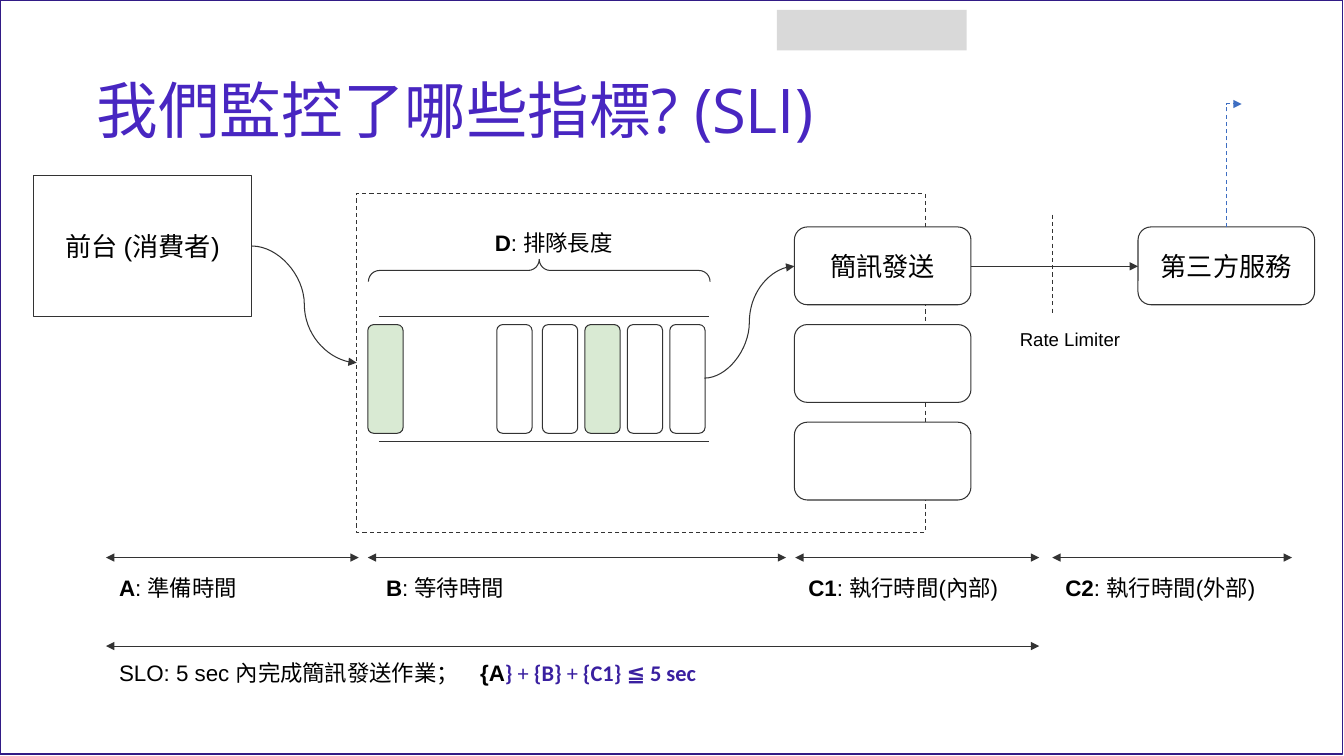
from dataclasses import dataclass

from lxml.etree import SubElement
from pptx import Presentation
from pptx.dml.color import RGBColor
from pptx.enum.dml import MSO_LINE
from pptx.enum.shapes import MSO_CONNECTOR, MSO_SHAPE
from pptx.enum.text import MSO_ANCHOR, PP_ALIGN
from pptx.oxml.ns import qn
from pptx.util import Cm, Pt


@dataclass(frozen=True)
class Theme:
    ink: str = "333333"
    text: str = "000000"
    white: str = "FFFFFF"
    green: str = "D9EAD3"
    gray: str = "D9D9D9"
    title: str = "4826C1"
    formula: str = "3A20A0"
    frame: str = "321B86"
    callback: str = "3E6EC2"
    title_font: str = "Open Sans"
    body_font: str = "Arial"
    formula_font: str = "Calibri"
    title_size: float = 44
    box_size: float = 18.7
    label_size: float = 16
    small_size: float = 13.3
    line_width: float = 0.75


class Diagram:
    def __init__(self, slide, theme):
        self.slide = slide
        self.theme = theme

    def stroke(self, line, color=None, width=None, dash=False):
        line.color.rgb = RGBColor.from_string(color or self.theme.ink)
        line.width = Pt(width or self.theme.line_width)
        if dash:
            line.dash_style = MSO_LINE.DASH

    def frame_text(self, tf, inset=0.33, anchor=MSO_ANCHOR.TOP):
        tf.word_wrap = True
        tf.margin_left = tf.margin_right = Cm(inset)
        tf.margin_top = tf.margin_bottom = Cm(inset)
        tf.vertical_anchor = anchor
        return tf.paragraphs[0]

    def run(self, p, text, size=None, bold=False, color=None, font=None):
        r = p.add_run()
        r.text = text
        r.font.size = Pt(size or self.theme.label_size)
        r.font.bold = bold
        r.font.name = font or self.theme.body_font
        r.font.color.rgb = RGBColor.from_string(color or self.theme.text)

    def shape(self, kind, x, y, w, h, fill=None, line=True, **stroke):
        sp = self.slide.shapes.add_shape(kind, Cm(x), Cm(y), Cm(w), Cm(h))
        sp.shadow.inherit = False
        if fill:
            sp.fill.solid()
            sp.fill.fore_color.rgb = RGBColor.from_string(fill)
        else:
            sp.fill.background()
        if line:
            self.stroke(sp.line, **stroke)
        else:
            sp.line.fill.background()
        return sp

    def box(self, x, y, w, h, text="", kind=MSO_SHAPE.ROUNDED_RECTANGLE, fill=None):
        sp = self.shape(kind, x, y, w, h, fill or self.theme.white)
        if text:
            p = self.frame_text(sp.text_frame, anchor=MSO_ANCHOR.MIDDLE)
            p.alignment = PP_ALIGN.CENTER
            self.run(p, text, self.theme.box_size)

    def textbox(self, x, y, w, h=1.68, **frame):
        tb = self.slide.shapes.add_textbox(Cm(x), Cm(y), Cm(w), Cm(h))
        return self.frame_text(tb.text_frame, **frame)

    def label(self, x, y, w, key, text):
        p = self.textbox(x, y, w)
        self.run(p, key, bold=True)
        self.run(p, f": {text}")

    def connector(self, x1, y1, x2, y2, kind=MSO_CONNECTOR.STRAIGHT,
                  head=False, tail=False, **stroke):
        cx = self.slide.shapes.add_connector(kind, Cm(x1), Cm(y1), Cm(x2), Cm(y2))
        self.stroke(cx.line, **stroke)
        ln = cx.line._get_or_add_ln()
        for tag, wanted in (("a:headEnd", head), ("a:tailEnd", tail)):
            if wanted:
                SubElement(ln, qn(tag), type="triangle")
        SubElement(cx._element.spPr, qn("a:effectLst"))
        return cx

    def corner_up_right(self, x, y, rise, run, **stroke):
        """Arrow going up from (x, y), then turning right."""
        left, top = x + run / 2 - rise / 2, y - rise / 2 - run / 2
        cx = self.connector(left, top, left + rise, top + run,
                            MSO_CONNECTOR.ELBOW, tail=True, **stroke)
        sp_pr = cx._element.spPr
        sp_pr.find(qn("a:xfrm")).set("rot", str(270 * 60000))
        sp_pr.find(qn("a:prstGeom")).set("prst", "bentConnector2")


def draw_queue(d):
    th = d.theme
    d.shape(MSO_SHAPE.RECTANGLE, 8.99, 4.88, 14.33, 8.53, th.white, dash=True)
    for y in (7.98, 11.13):
        d.connector(9.55, y, 17.88, y)
    waiting = [13.67 + 1.07 * i for i in range(4)]
    for i, x in enumerate([9.27, 12.52, *waiting]):
        d.box(x, 8.18, 0.89, 2.74, fill=th.green if i in (0, 3) else th.white)
    brace = d.shape(MSO_SHAPE.RIGHT_BRACE, 13.31, 2.51, 0.56, 8.61)
    brace.adjustments[0] = 0.5
    brace.rotation = 270
    d.label(12.14, 5.44, 5.51, "D", "排隊長度")


def draw_services(d):
    for i, text in enumerate(["簡訊發送", "", ""]):
        d.box(20.02, 5.72 + 2.46 * i, 4.45, 1.96, text)
    d.box(28.68, 5.72, 4.45, 1.96, "第三方服務")
    d.box(0.84, 4.42, 5.51, 3.56, "前台 (消費者)", MSO_SHAPE.RECTANGLE)
    d.connector(6.35, 6.2, 8.99, 9.14, MSO_CONNECTOR.CURVE, tail=True)
    d.connector(17.75, 9.53, 20.02, 6.71, MSO_CONNECTOR.CURVE, tail=True)
    d.connector(24.46, 6.71, 28.68, 6.71, tail=True)
    d.corner_up_right(30.91, 5.72, 3.1, 0.38, color=d.theme.callback, dash=True)
    d.connector(26.52, 5.41, 26.52, 7.92, dash=True)
    d.run(d.textbox(25.37, 7.98, 3.76), "Rate Limiter", d.theme.small_size)


def draw_indicators(d):
    th = d.theme
    for x1, x2 in ((2.67, 9.04), (9.27, 19.81), (20.04, 26.19), (26.52, 32.56)):
        d.connector(x1, 14.05, x2, 14.05, head=True, tail=True)
    for x, w, key, text in ((2.67, 5.33, "A", "準備時間"),
                            (9.4, 8.76, "B", "等待時間"),
                            (20.04, 5.51, "C1", "執行時間(內部)"),
                            (26.52, 5.51, "C2", "執行時間(外部)")):
        d.label(x, 14.15, w, key, text)

    d.connector(2.67, 16.28, 26.19, 16.28, head=True, tail=True)
    p = d.textbox(2.67, 16.28, 23.52)
    tabs = SubElement(p._p.get_or_add_pPr(), qn("a:tabLst"))
    SubElement(tabs, qn("a:tab"), pos=str(Cm(9.1)), algn="l")
    d.run(p, "SLO: 5 sec 內完成簡訊發送作業；\t")
    d.run(p, "{A", bold=True)
    for text, bold in (("} ", True), ("+ ", False), ("{B} ", True),
                       ("+ ", False), ("{C1} ≦ 5 sec", True)):
        d.run(p, text, bold=bold, color=th.formula, font=th.formula_font)


def main():
    prs = Presentation()
    prs.slide_width, prs.slide_height = Cm(33.87), Cm(19.05)
    th = Theme()
    d = Diagram(prs.slides.add_slide(prs.slide_layouts[6]), th)

    d.shape(MSO_SHAPE.RECTANGLE, 19.58, 0.25, 4.78, 1.02, th.gray, line=False)
    d.shape(MSO_SHAPE.RECTANGLE, 0, 0, 33.83, 19, color=th.frame, width=1)
    p = d.textbox(2.34, 1.02, 29.21, 3.68, inset=0.1, anchor=MSO_ANCHOR.MIDDLE)
    p.line_spacing = 0.9
    d.run(p, "我們監控了哪些指標? (SLI)", th.title_size, color=th.title, font=th.title_font)

    draw_queue(d)
    draw_services(d)
    draw_indicators(d)
    prs.save("out.pptx")


if __name__ == "__main__":
    main()
